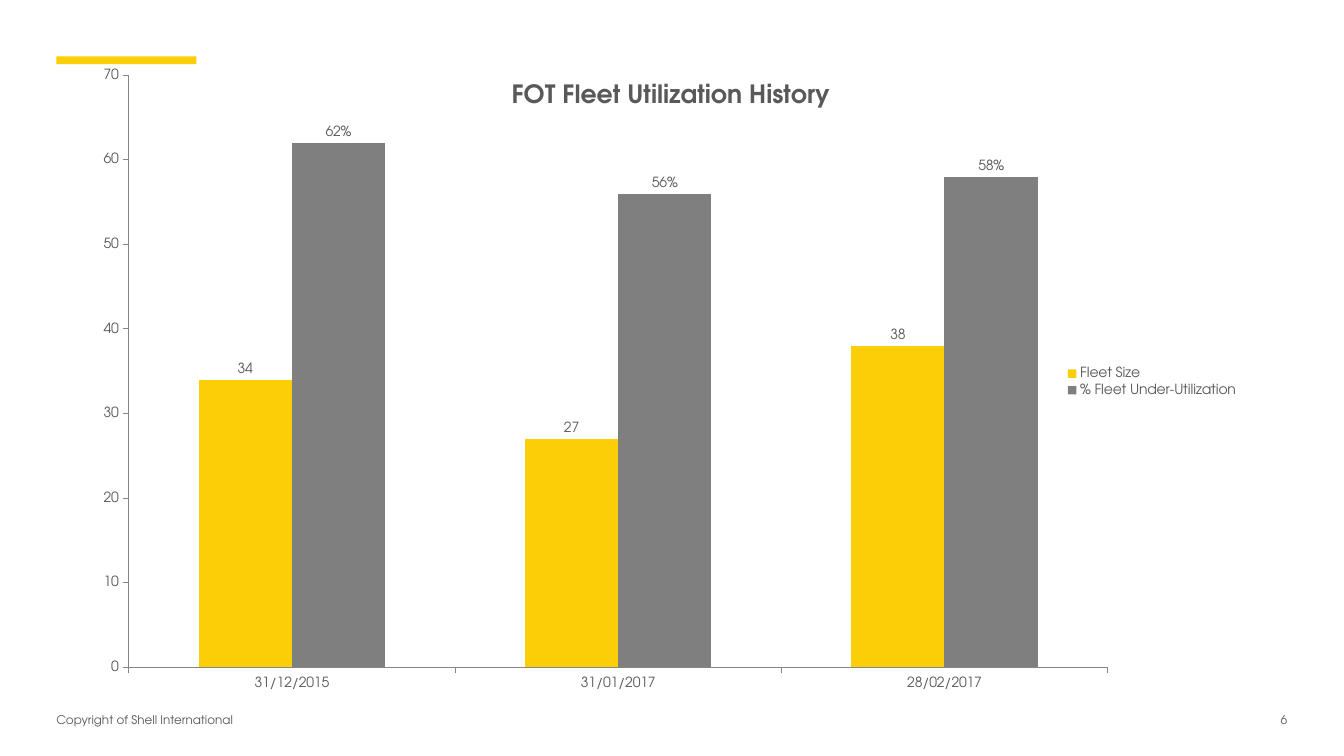
"""Build the fleet utilization slide with its column chart."""
from typing import NamedTuple

from lxml import etree
from pptx import Presentation
from pptx.chart.axis import CategoryAxis, ValueAxis
from pptx.chart.chart import Chart
from pptx.chart.data import CategoryChartData
from pptx.dml.color import RGBColor
from pptx.enum.chart import XL_CHART_TYPE, XL_LABEL_POSITION, XL_LEGEND_POSITION, XL_TICK_MARK
from pptx.enum.shapes import MSO_SHAPE
from pptx.enum.text import PP_ALIGN
from pptx.oxml.ns import qn
from pptx.slide import Slide
from pptx.util import Cm, Pt

COLUMNS = XL_CHART_TYPE.COLUMN_CLUSTERED
ABOVE = XL_LABEL_POSITION.OUTSIDE_END
RIGHT_SIDE = XL_LEGEND_POSITION.RIGHT
TICK_OUT, TICK_NONE = XL_TICK_MARK.OUTSIDE, XL_TICK_MARK.NONE
RECT = MSO_SHAPE.RECTANGLE
LEFT, RIGHT = PP_ALIGN.LEFT, PP_ALIGN.RIGHT

FACE = "TeX Gyre Adventor"
YELLOW, GRAY, INK, RULE = "FBCE07", "7F7F7F", "595959", "868686"
DATES = ("31/12/2015", "31/01/2017", "28/02/2017")
PLOT = {"x": 0.031, "y": 0.026, "w": 0.847, "h": 0.915}


class Series(NamedTuple):
    name: str
    values: tuple[int, ...]
    color: str
    format: str


class Note(NamedTuple):
    text: str
    left: float
    width: float
    align: PP_ALIGN


SERIES = (
    Series("Fleet Size", (34, 27, 38), YELLOW, "0"),
    Series("% Fleet Under-Utilization", (62, 56, 58), GRAY, '0"%"'),
)
NOTES = (
    Note("Copyright of Shell International", 1.42, 9.32, LEFT),
    Note("6", 31.45, 0.99, RIGHT),
)


def color(code: str) -> RGBColor:
    return RGBColor.from_string(code)


def add_bar(slide: Slide) -> None:
    bar = slide.shapes.add_shape(RECT, Cm(1.42), Cm(1.42), Cm(3.53), Cm(0.2))
    bar.shadow.inherit = False
    bar.fill.solid()
    bar.fill.fore_color.rgb = color(YELLOW)
    bar.line.fill.background()


def add_note(slide: Slide, note: Note) -> None:
    box = slide.shapes.add_textbox(Cm(note.left), Cm(17.96), Cm(note.width), Cm(0.66))
    frame = box.text_frame
    frame.word_wrap = True
    frame.margin_left = frame.margin_right = frame.margin_top = 0
    frame.margin_bottom = Cm(0.13)
    frame.text = note.text
    line = frame.paragraphs[0]
    line.alignment = note.align
    font = line.runs[0].font
    font.name, font.size = FACE, Pt(8.5)
    font.color.rgb = color(INK)


def style_axis(axis: CategoryAxis | ValueAxis) -> None:
    axis.has_major_gridlines = False
    axis.major_tick_mark, axis.minor_tick_mark = TICK_OUT, TICK_NONE
    axis.format.line.width = Pt(0.75)
    axis.format.line.color.rgb = color(RULE)


def set_title(chart: Chart, text: str) -> None:
    chart.has_title = True
    title = chart.chart_title
    title.text_frame.text = text
    font = title.text_frame.paragraphs[0].runs[0].font
    font.name, font.size, font.bold = FACE, Pt(18), True
    font.color.rgb = color(INK)
    title._element.find(qn("c:overlay")).set("val", "1")


def place_plot(chart: Chart) -> None:
    area = chart._chartSpace.chart.plotArea
    for old in area.findall(qn("c:layout")):
        area.remove(old)
    layout = etree.Element(qn("c:layout"))
    manual = etree.SubElement(layout, qn("c:manualLayout"))
    rules = {"layoutTarget": "inner", "xMode": "edge", "yMode": "edge"} | PLOT
    for tag, value in rules.items():
        etree.SubElement(manual, qn(f"c:{tag}")).set("val", str(value))
    area.insert(0, layout)


def add_fleet(slide: Slide) -> None:
    data = CategoryChartData()
    data.categories = DATES
    for item in SERIES:
        data.add_series(item.name, item.values)
    frame = slide.shapes.add_chart(COLUMNS, Cm(2.34), Cm(1.47), Cm(29.13), Cm(16.31), data)
    chart = frame.chart
    chart.font.name, chart.font.size = FACE, Pt(10)
    chart.font.color.rgb = color(INK)
    set_title(chart, "FOT Fleet Utilization History")
    chart.has_legend = True
    chart.legend.position = RIGHT_SIDE
    chart.legend.include_in_layout = False
    style_axis(chart.category_axis)
    style_axis(chart.value_axis)
    scale = chart.value_axis
    scale.minimum_scale, scale.maximum_scale, scale.major_unit = 0, 70, 10
    plot = chart.plots[0]
    plot.gap_width, plot.overlap, plot.vary_by_categories = 150, 0, False
    for item, series in zip(SERIES, plot.series):
        series.format.fill.solid()
        series.format.fill.fore_color.rgb = color(item.color)
        labels = series.data_labels
        labels.show_value = True
        labels.position = ABOVE
        labels.number_format = item.format
        labels.number_format_is_linked = False
    place_plot(chart)


def main() -> None:
    deck = Presentation()
    deck.slide_width, deck.slide_height = Cm(33.87), Cm(19.05)
    slide = deck.slides.add_slide(deck.slide_layouts[6])
    add_bar(slide)
    for note in NOTES:
        add_note(slide, note)
    add_fleet(slide)
    deck.save("out.pptx")


if __name__ == "__main__":
    main()
